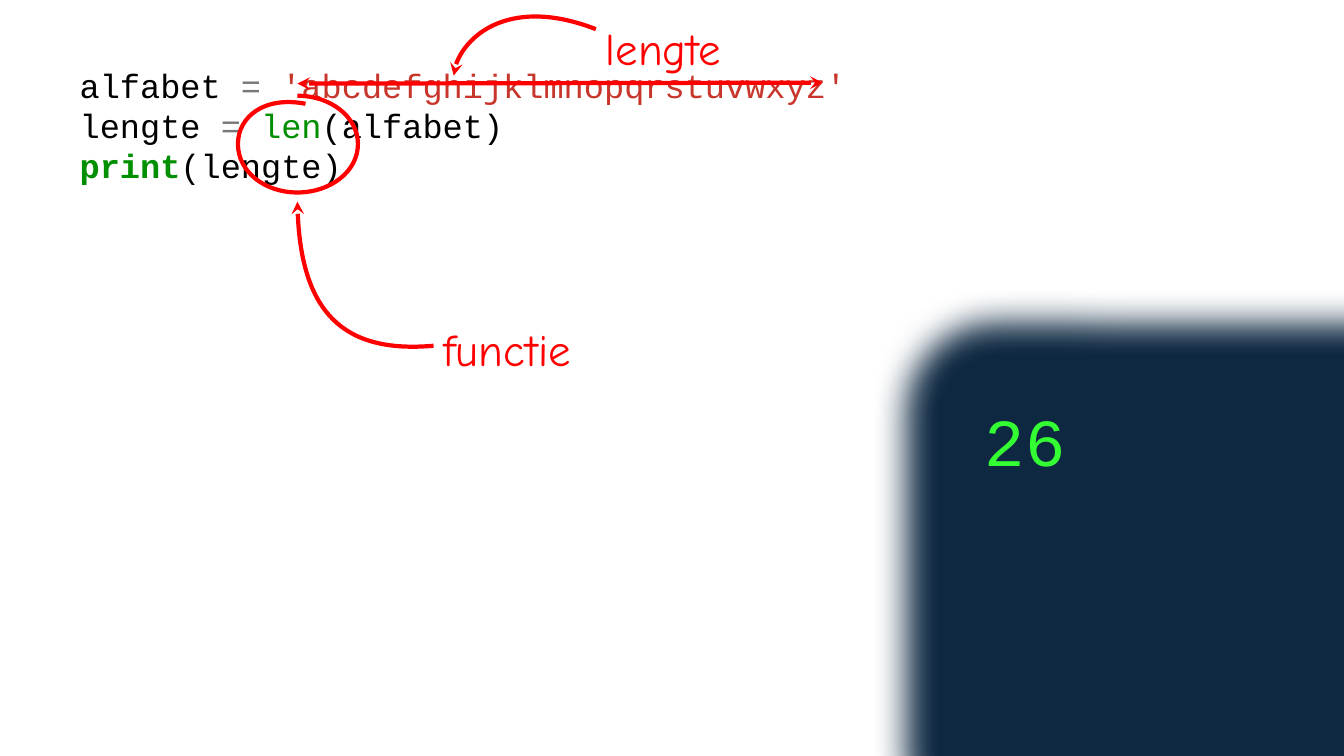
from lxml import etree
from pptx import Presentation
from pptx.dml.color import RGBColor
from pptx.enum import shapes, text
from pptx.oxml.ns import qn
from pptx.util import Inches, Pt

BLACK = RGBColor(0x00, 0x00, 0x00)
GREY = RGBColor(0x79, 0x79, 0x79)
STRING_RED = RGBColor(0xC8, 0x35, 0x2B)
KEYWORD_GREEN = RGBColor(0x00, 0x8F, 0x00)
OUTPUT_GREEN = RGBColor(0x33, 0xFF, 0x33)
PANEL_NAVY = RGBColor(0x0E, 0x28, 0x41)
PANEL_EDGE = RGBColor(0x10, 0x47, 0x60)
MARK_RED = RGBColor(0xFF, 0x00, 0x00)

prs = Presentation()
prs.slide_width, prs.slide_height = Inches(13.33), Inches(7.5)
slide = prs.slides.add_slide(prs.slide_layouts[6])


def add_text(lines, left, top, width, height, font, size, inset_left=0.1, inset_top=0.05, spacing=None):
    """Each line is a list of (words, colour, bold) runs; spacing is the line pitch in points."""
    box = slide.shapes.add_textbox(Inches(left), Inches(top), Inches(width), Inches(height))
    frame = box.text_frame
    frame.word_wrap = True
    frame.vertical_anchor = text.MSO_ANCHOR.TOP
    frame.margin_left = frame.margin_right = Inches(inset_left)
    frame.margin_top = Inches(inset_top)
    for number, runs in enumerate(lines):
        paragraph = frame.add_paragraph() if number else frame.paragraphs[0]
        if spacing:
            paragraph.line_spacing = Pt(spacing)
        for words, colour, bold in runs:
            run = paragraph.add_run()
            run.text = words
            run.font.name, run.font.size, run.font.bold = font, Pt(size), bold
            run.font.color.rgb = colour


def add_curve(start, segments, colour, weight, closed=False):
    """A segment is one point (straight) or three points (cubic Bézier)."""
    outline, here = [], start
    for segment in segments:
        a, b, c = segment if len(segment) == 3 else (here, segment[0], segment[0])
        for t in (step / 20 for step in range(1, 21)):
            weights = (1 - t) ** 3, 3 * t * (1 - t) ** 2, 3 * t * t * (1 - t), t ** 3
            outline.append(tuple(Inches(sum(w * p[axis] for w, p in zip(weights, (here, a, b, c))))
                                 for axis in (0, 1)))
        here = c
    builder = slide.shapes.build_freeform(Inches(start[0]), Inches(start[1]))
    builder.add_line_segments(outline, close=closed)
    curve = builder.convert_to_shape()

    # The sampled outline fixes the frame; the path itself becomes true curves.
    route = curve._element.spPr.find(".//" + qn("a:path"))
    for step in list(route)[1:]:
        route.remove(step)
    for segment in segments:
        tag = "a:cubicBezTo" if len(segment) == 3 else "a:lnTo"
        step = etree.SubElement(route, qn(tag))
        for x, y in segment:
            etree.SubElement(step, qn("a:pt"), x=str(Inches(x) - curve.left), y=str(Inches(y) - curve.top))
    if closed:
        etree.SubElement(route, qn("a:close"))
    curve.shadow.inherit = False
    curve.fill.background()
    curve.line.color.rgb = colour
    curve.line.width = Pt(weight)
    return curve


code = [
    [("alfabet ", BLACK, False), ("= ", GREY, False),
     ("'abcdefghijklmnopqrstuvwxyz'", STRING_RED, False)],
    [("lengte ", BLACK, False), ("= ", GREY, False), ("len", KEYWORD_GREEN, False),
     ("(alfabet)", BLACK, False)],
    [("print", KEYWORD_GREEN, True), ("(lengte)", BLACK, False)],
]
add_text(code, 0, 0, 13.33, 2.8, "Courier New", 24, inset_left=0.79, inset_top=0.64, spacing=28.8)

# Output panel, running off the lower right corner
panel = add_curve((8.66, 3.75), [
    [(8.66, 3.27), (9.05, 2.87), (9.54, 2.87)],
    [(15.89, 2.89)],
    [(16.37, 2.89), (16.08, 3.27), (16.08, 3.75)],
    [(16.08, 7.24)],
    [(16.08, 7.73), (15.69, 8.12), (15.21, 8.12)],
    [(9.54, 8.12)],
    [(9.05, 8.12), (8.66, 8.35), (8.66, 7.86)],
], PANEL_EDGE, 1.5, closed=True)
panel.fill.solid()
panel.fill.fore_color.rgb = PANEL_NAVY
effects = panel._element.spPr.find(qn("a:effectLst"))
etree.SubElement(effects, qn("a:softEdge"), rad=str(Pt(25)))
add_text([[("26", OUTPUT_GREEN, False)]], 9.67, 3.79, 5.66, 0.91, "Courier New", 48, inset_top=0.17)

# Red annotations
add_curve((2.95, 0.95), [
    [(3.28, 0.95), (3.55, 1.16), (3.55, 1.43)],
    [(3.55, 1.7), (3.28, 1.91), (2.95, 1.91)],
    [(2.62, 1.91), (2.36, 1.7), (2.36, 1.43)],
    [(2.36, 1.16), (2.62, 0.95), (3.03, 1.03)],
], MARK_RED, 3)
function_arrow = add_curve((2.95, 2), [[(2.96, 3.06), (3.4, 3.51), (4.3, 3.43)]], MARK_RED, 3)
length_span = slide.shapes.add_connector(
    shapes.MSO_CONNECTOR.STRAIGHT, Inches(2.95), Inches(0.83), Inches(8.16), Inches(0.82))
length_span.line.color.rgb = MARK_RED
length_span.line.width = Pt(3)
etree.SubElement(length_span._element.spPr, qn("a:effectLst"))
length_arrow = add_curve((4.5, 0.75), [[(4.51, 0.41), (5.09, -0.03), (5.91, 0.29)]], MARK_RED, 3)

for arrow, ends in ((function_arrow, ["a:headEnd"]), (length_arrow, ["a:headEnd"]),
                    (length_span, ["a:headEnd", "a:tailEnd"])):
    for end in ends:
        etree.SubElement(arrow.line._get_or_add_ln(), qn(end), type="stealth")

for label, left, top in (("functie", 4.3, 3.14), ("lengte", 5.91, 0.16)):
    add_text([[(label, MARK_RED, False)]], left, top, 2.36, 0.64, "Comic Neue", 32)

prs.save("out.pptx")
